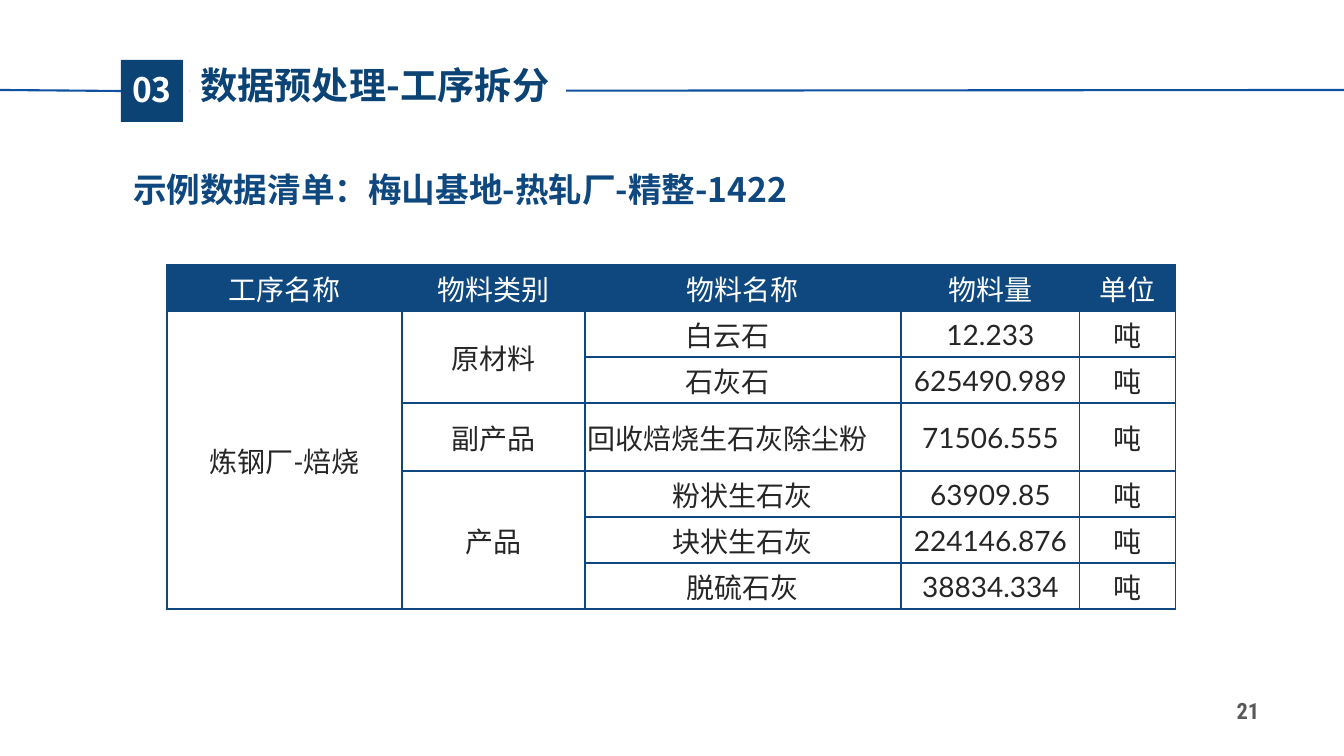
import pptx
import pptx.util
import pptx.dml.color
import pptx.enum.shapes
import pptx.enum.text
import pptx.oxml.ns
from lxml import etree

RGB = pptx.dml.color.RGBColor
NAVY = RGB(0x0C, 0x43, 0x75)
BLUE = RGB(0x0E, 0x48, 0x7F)
LINE = RGB(0x10, 0x52, 0xA0)
WHITE = RGB(0xFF, 0xFF, 0xFF)
DARK = RGB(0x26, 0x26, 0x26)
GRAY = RGB(0x59, 0x59, 0x59)
HAN = "Noto Sans CJK SC"
SCALE = 914400 / 100.8
ALIGN = pptx.enum.text.PP_ALIGN
ANCHOR = pptx.enum.text.MSO_ANCHOR
qn = pptx.oxml.ns.qn


def px(*vals):
    """Turn pixel lengths into EMU."""
    return [pptx.util.Emu(round(v * SCALE)) for v in vals]


def write(frame, text, size, color, face=HAN, bold=True, align=ALIGN.LEFT,
          anchor=ANCHOR.MIDDLE, pads=(0, 0, 0, 0)):
    """Fill a text frame with one formatted paragraph; pads run left, top, right, bottom."""
    frame.word_wrap = True
    frame.auto_size = pptx.enum.text.MSO_AUTO_SIZE.NONE
    frame.vertical_anchor = anchor
    (frame.margin_left, frame.margin_top,
     frame.margin_right, frame.margin_bottom) = px(*pads)
    para = frame.paragraphs[0]
    para.text = text
    para.alignment = align
    font = para.font
    font.size = pptx.util.Pt(size)
    font.bold = bold
    font.color.rgb = color
    font.name = face
    etree.SubElement(font._rPr, qn("a:ea"), typeface=HAN)
    return para


prs = pptx.Presentation()
prs.slide_width, prs.slide_height = px(1344, 756)
slide = prs.slides.add_slide(prs.slide_layouts[1])
shapes = slide.shapes
title = shapes.title
body = slide.placeholders[1]

# Header rule and number square
for x1, y1, x2, y2 in [(190, 91, 1344, 90), (0, 90, 121, 91)]:
    rule = shapes.add_connector(pptx.enum.shapes.MSO_CONNECTOR.STRAIGHT,
                                *px(x1, y1, x2, y2))
    rule.line.color.rgb = LINE
    rule.line.width = pptx.util.Pt(1.5)
    etree.SubElement(rule._element.spPr, qn("a:effectLst"))

square = shapes.add_shape(pptx.enum.shapes.MSO_SHAPE.RECTANGLE, *px(121, 60, 62, 62))
square.shadow.inherit = False
square.fill.solid()
square.fill.fore_color.rgb = NAVY
square.line.fill.background()

# Title and section number lie above the rule and the square
for holder, box in [(title, (190, 64, 376, 55)), (body, (120, 64, 64, 50))]:
    holder.left, holder.top, holder.width, holder.height = px(*box)
    shapes._spTree.append(holder._element)

title.fill.solid()
title.fill.fore_color.rgb = WHITE
head = write(title.text_frame, "数据预处理-工序拆分", 26.6, NAVY,
             anchor=ANCHOR.TOP, pads=(10, 5, 10, 5))
head.line_spacing = 0.84

props = body.text_frame.paragraphs[0]._p.get_or_add_pPr()
props.set("marL", "0")
props.set("indent", "0")
etree.SubElement(props, qn("a:buNone"))
mark = write(body.text_frame, "03", 24, WHITE, align=ALIGN.CENTER)
mark.space_before = pptx.util.Pt(0)

note = shapes.add_textbox(*px(120, 146, 1094, 67))
para = write(note.text_frame, "示例数据清单：梅山基地-热轧厂-精整-1422", 24, BLUE,
             pads=(13, 7, 13, 7))
para.line_spacing = 1.5

# Material table
ROWS = [
    ("工序名称", "物料类别", "物料名称", "物料量", "单位"),
    ("炼钢厂-焙烧", "原材料", "白云石", "12.233", "吨"),
    ("", "", "石灰石", "625490.989", "吨"),
    ("", "副产品", "回收焙烧生石灰除尘粉", "71506.555", "吨"),
    ("", "产品", "粉状生石灰", "63909.85", "吨"),
    ("", "", "块状生石灰", "224146.876", "吨"),
    ("", "", "脱硫石灰", "38834.334", "吨"),
]
WIDTHS = [235, 183, 316, 179, 96]
HEIGHTS = [46, 46, 46, 68, 46, 46, 46]
SPANS = [(1, 6, 0), (1, 2, 1), (4, 6, 1)]

table = shapes.add_table(len(ROWS), len(WIDTHS),
                         *px(167, 265, sum(WIDTHS), sum(HEIGHTS))).table
table.first_row = table.horz_banding = False
for col, width in zip(table.columns, px(*WIDTHS)):
    col.width = width
for row, height in zip(table.rows, px(*HEIGHTS)):
    row.height = height
for top, end, col in SPANS:
    table.cell(top, col).merge(table.cell(end, col))

for r, row in enumerate(ROWS):
    for c, text in enumerate(row):
        cell = table.cell(r, c)
        tcpr = cell._tc.get_or_add_tcPr()
        for side in "LRTB":
            edge = etree.SubElement(tcpr, qn("a:ln" + side), w="12700")
            fill = etree.SubElement(edge, qn("a:solidFill"))
            etree.SubElement(fill, qn("a:srgbClr"), val=str(BLUE))
        if r == 0:
            cell.fill.solid()
            cell.fill.fore_color.rgb = BLUE
        else:
            cell.fill.background()
        if text:
            shift = 32 if c == 2 and 1 <= r <= 3 else 1
            write(cell.text_frame, text, 20, DARK if r else WHITE, face="Lato",
                  bold=False, align=ALIGN.CENTER)
            cell.vertical_anchor = ANCHOR.MIDDLE
            (cell.margin_left, cell.margin_top,
             cell.margin_right, cell.margin_bottom) = px(1, 1, shift, 0)

page = shapes.add_textbox(*px(1217, 693, 62, 36))
write(page.text_frame, "21", 16, GRAY, face="Roboto Condensed", align=ALIGN.CENTER)

prs.save("out.pptx")
